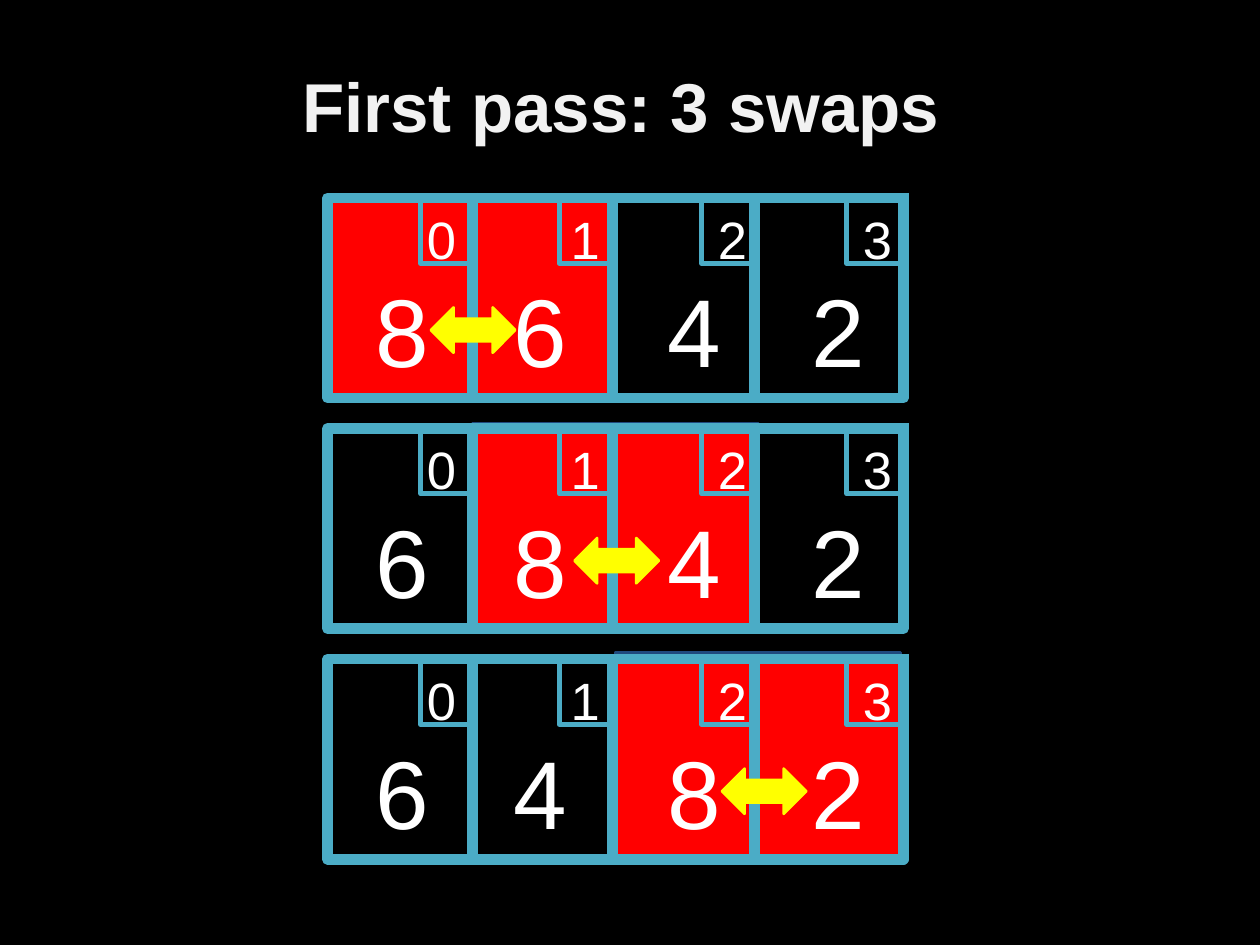
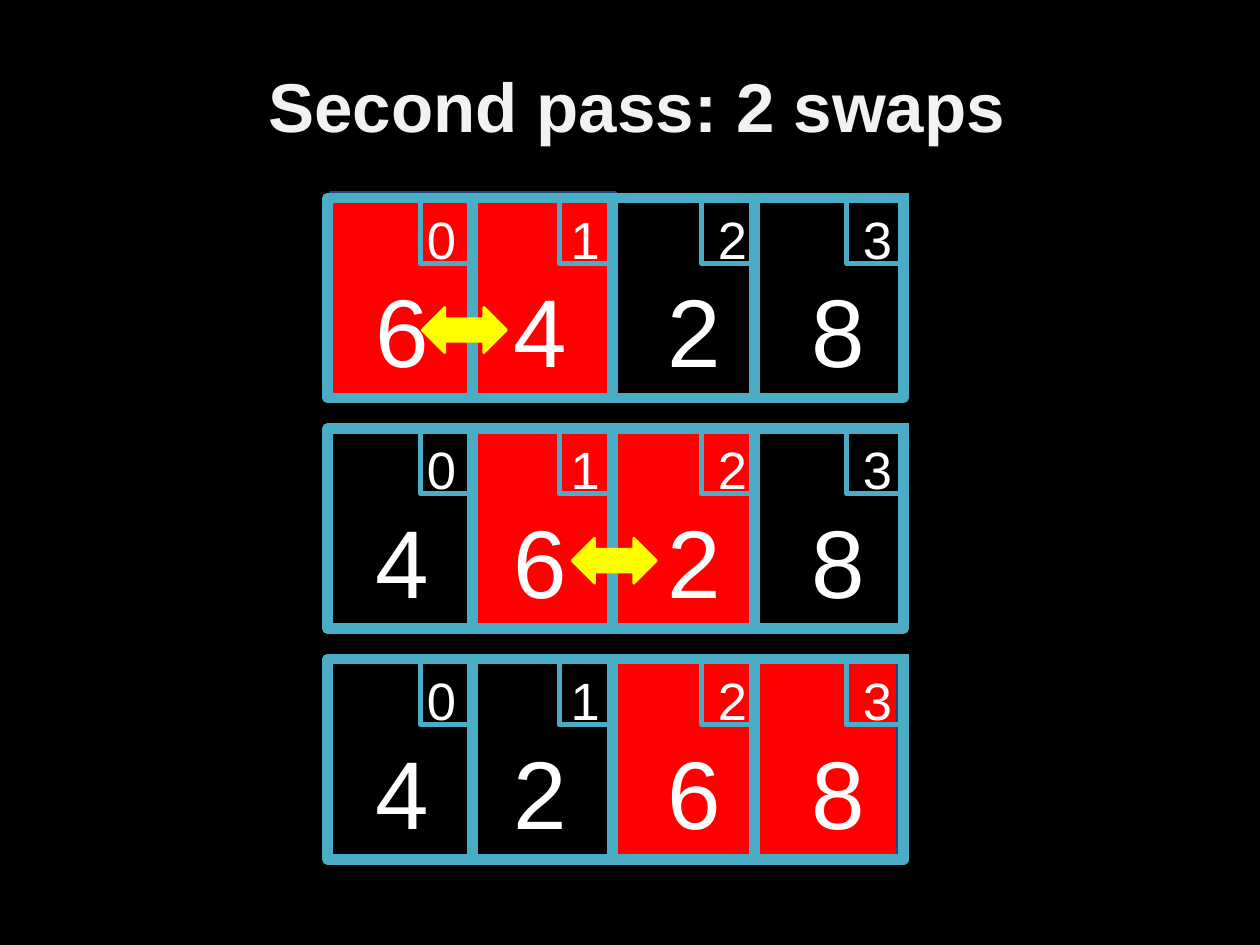
from lxml import etree
from pptx import Presentation
from pptx.dml.color import RGBColor
from pptx.enum.shapes import MSO_CONNECTOR, MSO_SHAPE
from pptx.enum.text import MSO_ANCHOR, MSO_AUTO_SIZE, PP_ALIGN
from pptx.oxml.ns import qn
from pptx.util import Inches, Pt

RECT = MSO_SHAPE.RECTANGLE
SWAP = MSO_SHAPE.LEFT_RIGHT_ARROW
STRAIGHT = MSO_CONNECTOR.STRAIGHT
TOP, MIDDLE = MSO_ANCHOR.TOP, MSO_ANCHOR.MIDDLE
LEFT = PP_ALIGN.LEFT
NO_FIT = MSO_AUTO_SIZE.NONE

FONT = "Arial"
BLACK, WHITE, PALE = "000000", "FFFFFF", "F2F2F2"
RED, NAVY, TEAL, YELLOW = "FF0000", "1F497D", "4BACC6", "FFFF00"

ROW_TOP, ROW_STEP = 1.57, 1.83
FRAME_LEFT, FRAME_WIDTH, FRAME_HEIGHT = 2.6, 4.57, 1.59
CELL_ENDS = (3.75, 4.86, 5.99, 7.17)
TAB_LEFTS = (3.34, 4.44, 5.57, 6.72)
INDEX_LEFTS = (3.29, 4.43, 5.6, 6.75)
VALUE_LEFTS = (2.88, 3.98, 5.2, 6.34)

# Each step: values, left and top of the red pair, left of the swap arrow
PASSES = (
    ("First pass: 3 swaps", 2.3, (
        ("8642", 2.6, 1.57, 3.42),
        ("6842", 3.75, 3.36, 4.56),
        ("6482", 4.88, 5.18, 5.73),
    )),
    ("Second pass: 2 swaps", 2.03, (
        ("6428", 2.62, 1.53, 3.35),
        ("4628", 3.75, 3.39, 4.54),
        ("4268", 4.85, 5.23, None),
    )),
)


def color(code):
    return RGBColor.from_string(code)


def style(para, size, code, bold=False):
    para.alignment = LEFT
    font = para.font
    font.name, font.size, font.bold = FONT, Pt(size), bold
    font.color.rgb = color(code)


def add_title(slide, text, left):
    title = slide.shapes.title
    title.left, title.top = Inches(left), Inches(0.43)
    title.width, title.height = Inches(6.2), Inches(0.8)
    frame = title.text_frame
    frame.text = text
    frame.auto_size = NO_FIT
    frame.vertical_anchor = MIDDLE
    style(frame.paragraphs[0], 39.5, PALE, True)


def add_box(slide, kind, left, top, width, height, line, weight, fill=None):
    box = slide.shapes.add_shape(
        kind, Inches(left), Inches(top), Inches(width), Inches(height))
    box.shadow.inherit = False
    if fill:
        box.fill.solid()
        box.fill.fore_color.rgb = color(fill)
    else:
        box.fill.background()
    box.line.color.rgb = color(line)
    box.line.width = Pt(weight)


def add_rule(slide, x, top, bottom):
    rule = slide.shapes.add_connector(
        STRAIGHT, Inches(x), Inches(top), Inches(x), Inches(bottom))
    rule.line.color.rgb = color(TEAL)
    rule.line.width = Pt(6)
    etree.SubElement(rule._element.spPr, qn("a:effectLst"))


def add_digit(slide, text, left, top, width, height, size, anchor):
    box = slide.shapes.add_textbox(
        Inches(left), Inches(top), Inches(width), Inches(height))
    frame = box.text_frame
    frame.word_wrap = True
    frame.vertical_anchor = anchor
    frame.margin_left = frame.margin_right = Inches(0.1)
    frame.margin_top = frame.margin_bottom = Inches(0.1)
    frame.text = text
    style(frame.paragraphs[0], size, WHITE)


def add_row(slide, top, values, red_left, red_top, swap_left):
    """Draw the array at one step, with its compared pair in red."""
    add_box(slide, RECT, red_left, red_top, 2.27, 1.61, NAVY, 1.5, RED)
    add_box(slide, RECT, FRAME_LEFT, top, FRAME_WIDTH, FRAME_HEIGHT, TEAL, 6)
    for end in CELL_ENDS:
        add_rule(slide, end, top - 0.04, top + 1.58)
    for left in TAB_LEFTS:
        add_box(slide, RECT, left, top - 0.01, 0.43, 0.53, TEAL, 3)
    for index, left in enumerate(INDEX_LEFTS):
        add_digit(slide, str(index), left, top - 0.03, 0.36, 0.58, 30, TOP)
    for value, left in zip(values, VALUE_LEFTS):
        add_digit(slide, value, left, top + 0.24, 0.98, 1.61, 55, MIDDLE)
    if swap_left is not None:
        add_box(slide, SWAP, swap_left, top + 0.87, 0.67, 0.36,
                YELLOW, 1.5, YELLOW)


def main():
    deck = Presentation()
    deck.slide_width, deck.slide_height = Inches(10), Inches(7.5)
    back = deck.slide_master.background.fill
    back.solid()
    back.fore_color.rgb = color(BLACK)
    for title, left, steps in PASSES:
        slide = deck.slides.add_slide(deck.slide_layouts[5])
        add_title(slide, title, left)
        for row, step in enumerate(steps):
            add_row(slide, ROW_TOP + row * ROW_STEP, *step)
    deck.save("out.pptx")


if __name__ == "__main__":
    main()
